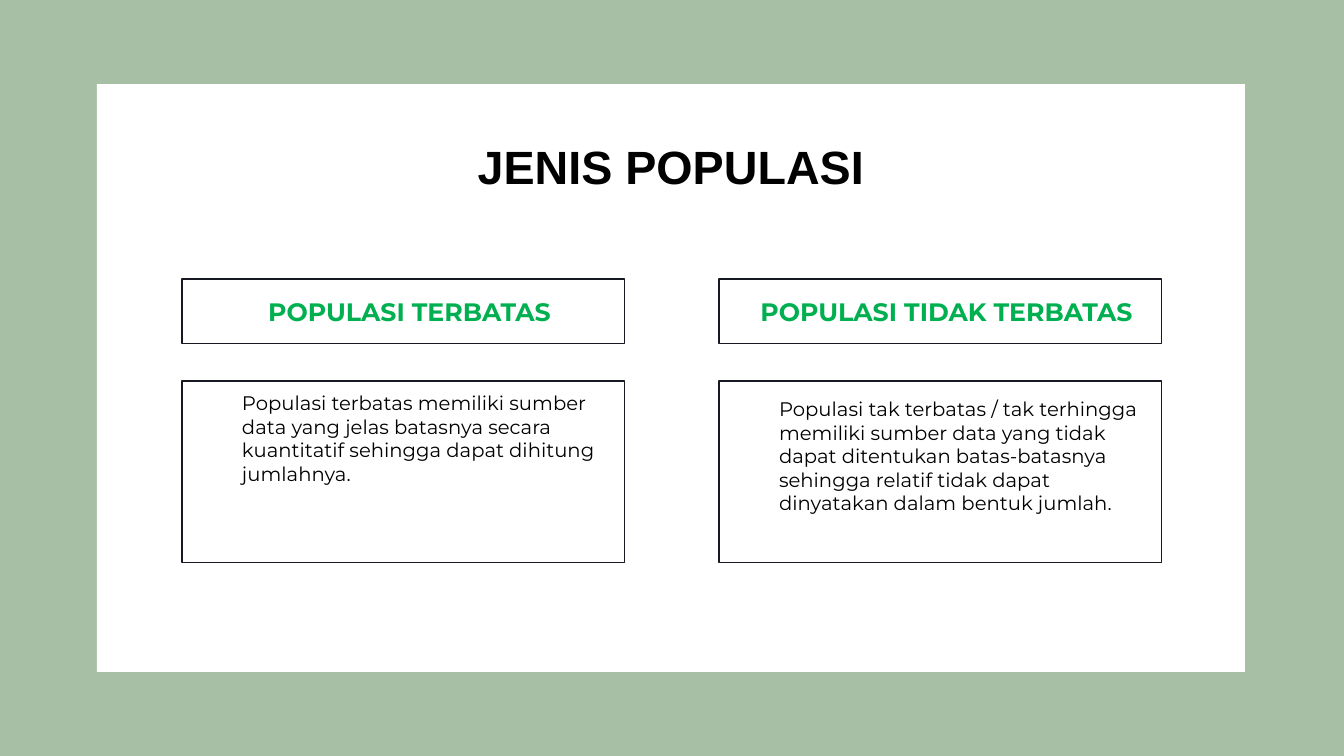
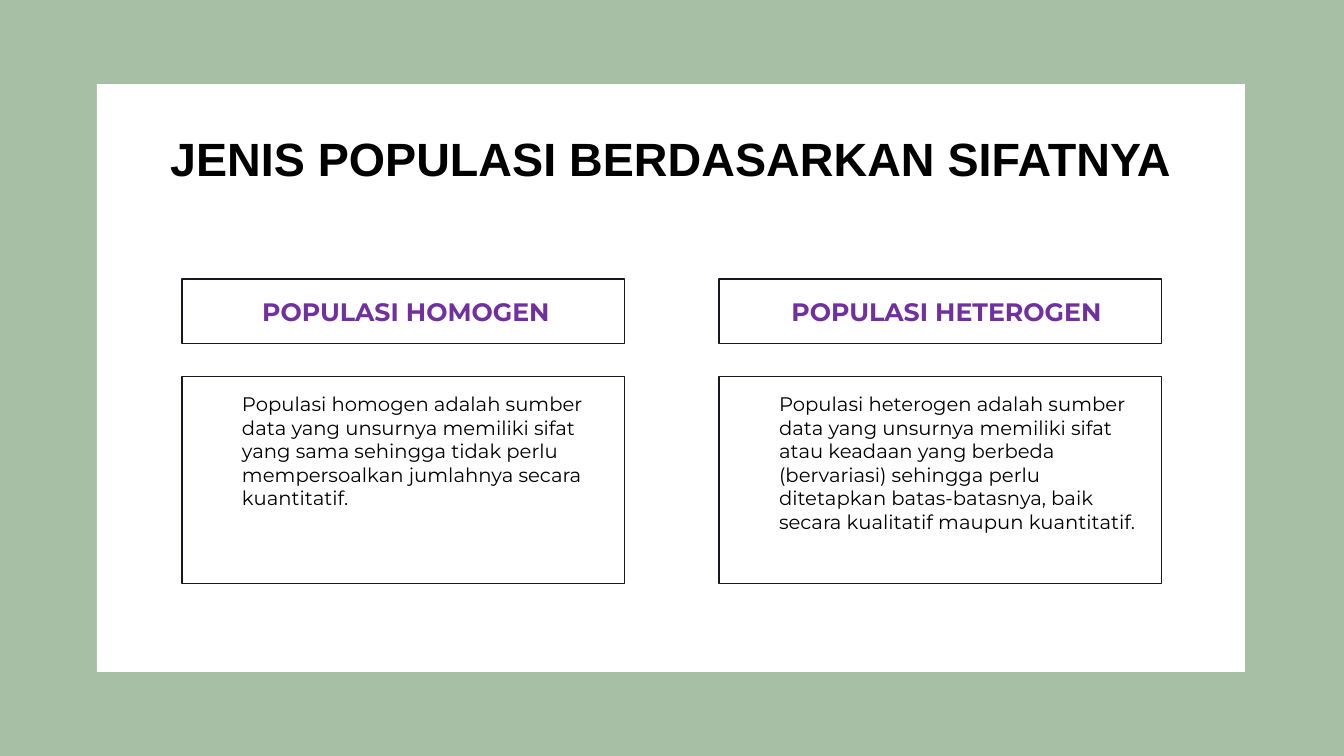
from lxml.etree import SubElement
from pptx import Presentation
from pptx.dml.color import RGBColor
from pptx.enum.shapes import MSO_SHAPE
from pptx.enum.text import MSO_ANCHOR, MSO_AUTO_SIZE, PP_ALIGN
from pptx.oxml.ns import qn
from pptx.util import Emu, Pt

SAGE = RGBColor(0xA6, 0xBF, 0xA5)
WHITE = RGBColor(0xFF, 0xFF, 0xFF)
BLACK = RGBColor(0x00, 0x00, 0x00)
INK = RGBColor(0x16, 0x19, 0x22)
GREEN = RGBColor(0x00, 0xB0, 0x50)
PURPLE = RGBColor(0x70, 0x30, 0xA0)

# Each column: heading, description, top inset of the description
SLIDES = [
    dict(title="JENIS POPULASI", title_top=128, accent=GREEN,
         body_top=381, body_height=182, columns=[
             ("POPULASI TERBATAS",
              "Populasi terbatas memiliki sumber data yang jelas batasnya secara "
              "kuantitatif sehingga dapat dihitung jumlahnya.", 10),
             ("POPULASI TIDAK TERBATAS",
              "Populasi tak terbatas / tak terhingga memiliki sumber data yang tidak "
              "dapat ditentukan batas-batasnya sehingga relatif tidak dapat "
              "dinyatakan dalam bentuk jumlah.", 16)]),
    dict(title="JENIS POPULASI BERDASARKAN SIFATNYA", title_top=120, accent=PURPLE,
         body_top=376, body_height=208, columns=[
             ("POPULASI HOMOGEN ",
              "Populasi homogen adalah sumber data yang unsurnya memiliki sifat yang "
              "sama sehingga tidak perlu mempersoalkan jumlahnya secara kuantitatif.", 16),
             ("POPULASI HETEROGEN",
              "Populasi heterogen adalah sumber data yang unsurnya memiliki sifat atau "
              "keadaan yang berbeda (bervariasi) sehingga perlu ditetapkan "
              "batas-batasnya, baik secara kualitatif maupun kuantitatif.", 16)]),
]

SLIDE_WIDTH, SLIDE_HEIGHT = 1344, 756
PANEL = (97, 84, 1148, 588)
TITLE_HEIGHT = 94
COLUMN_LEFT, COLUMN_WIDTH, COLUMN_GAP = 182, 443, 94
HEADING_TOP, HEADING_HEIGHT = 279, 65
INSET = 10
COMPARISON_LAYOUT = 4


def px(length):
    return Emu(round(length * 914400 / 100.8))


def place(shape, left, top, width, height):
    shape.left, shape.top = px(left), px(top)
    shape.width, shape.height = px(width), px(height)


def write(shape, text, *, size, color, font="Montserrat", bold=False,
          align=PP_ALIGN.LEFT, anchor=MSO_ANCHOR.TOP, indent=0, inset_top=INSET):
    frame = shape.text_frame
    frame.word_wrap = True
    frame.auto_size = MSO_AUTO_SIZE.NONE
    frame.vertical_anchor = anchor
    frame.margin_left = frame.margin_right = frame.margin_bottom = px(INSET)
    frame.margin_top = px(inset_top)
    paragraph = frame.paragraphs[0]
    paragraph.alignment = align
    paragraph.space_before = Pt(0)
    properties = paragraph._p.get_or_add_pPr()
    properties.set("marL", str(px(indent)))
    properties.set("indent", "0")
    SubElement(properties, qn("a:buNone"))
    run = paragraph.add_run()
    run.text = text
    run.font.name, run.font.size, run.font.bold = font, Pt(size), bold
    run.font.color.rgb = color


def outline(shape):
    shape.line.color.rgb = INK
    shape.line.width = Pt(0.75)


def style_layout(layout, slide):
    """Give the layout its background and a white panel, drawn by way of a slide."""
    layout.background.fill.solid()
    layout.background.fill.fore_color.rgb = SAGE
    panel = slide.shapes.add_shape(MSO_SHAPE.RECTANGLE, *map(px, PANEL))
    panel.shadow.inherit = False
    panel.fill.solid()
    panel.fill.fore_color.rgb = WHITE
    panel.line.fill.background()
    layout.shapes._spTree.insert(2, panel._element)


def fill_slide(slide, content):
    title, *boxes = slide.placeholders
    place(title, PANEL[0], content["title_top"], PANEL[2], TITLE_HEIGHT)
    write(title, content["title"], size=33.3, color=BLACK, font="Arial",
          bold=True, align=PP_ALIGN.CENTER)
    pairs = zip(boxes[::2], boxes[1::2])
    for index, (pair, column) in enumerate(zip(pairs, content["columns"])):
        heading, body = pair
        heading_text, body_text, inset_top = column
        left = COLUMN_LEFT + index * (COLUMN_WIDTH + COLUMN_GAP)
        place(heading, left, HEADING_TOP, COLUMN_WIDTH, HEADING_HEIGHT)
        place(body, left, content["body_top"], COLUMN_WIDTH, content["body_height"])
        outline(heading)
        outline(body)
        write(heading, heading_text, size=18, color=content["accent"], bold=True,
              align=PP_ALIGN.CENTER, anchor=MSO_ANCHOR.MIDDLE, indent=12)
        write(body, body_text, size=14, color=BLACK, indent=50, inset_top=inset_top)


def main():
    presentation = Presentation()
    presentation.slide_width = px(SLIDE_WIDTH)
    presentation.slide_height = px(SLIDE_HEIGHT)
    layout = presentation.slide_layouts[COMPARISON_LAYOUT]
    slides = [presentation.slides.add_slide(layout) for _ in SLIDES]
    style_layout(layout, slides[0])
    for slide, content in zip(slides, SLIDES):
        fill_slide(slide, content)
    presentation.save("out.pptx")


if __name__ == "__main__":
    main()
